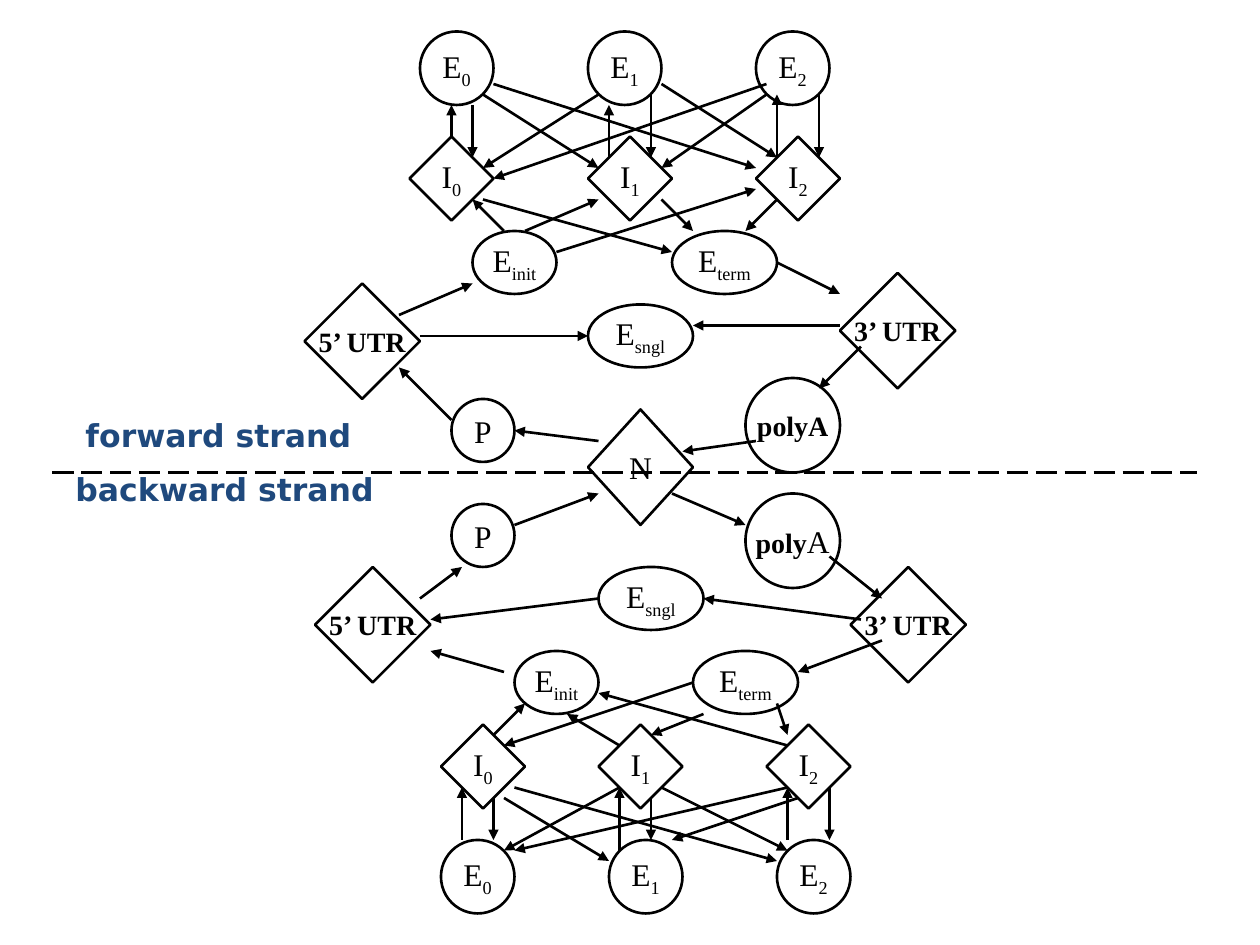
import pptx
import pptx.dml.color
import pptx.enum.dml
import pptx.enum.shapes
import pptx.enum.text
import pptx.oxml
import pptx.oxml.ns
import pptx.util

BLACK = pptx.dml.color.RGBColor(0x00, 0x00, 0x00)
NAVY = pptx.dml.color.RGBColor(0x1F, 0x49, 0x7D)
SERIF = "Times New Roman"
SANS = "DejaVu Sans"
ROUND = pptx.enum.shapes.MSO_SHAPE.OVAL
DIAMOND = pptx.enum.shapes.MSO_SHAPE.DIAMOND
GRID = 12

FORMS = {
    "E": (ROUND, 7, 7),
    "I": (DIAMOND, 8, 8),
    "init": (ROUND, 8, 6),
    "term": (ROUND, 10, 6),
    "sngl": (ROUND, 10, 6),
    "P": (ROUND, 6, 6),
    "poly": (ROUND, 9, 9),
    "UTR": (DIAMOND, 11, 11),
    "N": (DIAMOND, 10, 11),
}


def plain(text):
    return (text, 18, False, False)


def bold(text):
    return (text, 16, True, False)


def sub(text):
    return (text, 18, False, True)


FORE_NODES = [
    *[("E", x, 3, [plain("E"), sub(str(i))]) for i, x in enumerate((40, 56, 72))],
    *[("I", x, 13, [plain("I"), sub(str(i))]) for i, x in enumerate((39, 56, 72))],
    ("init", 45, 22, [plain("E"), sub("init")]),
    ("term", 64, 22, [plain("E"), sub("term")]),
    ("sngl", 56, 29, [plain("E"), sub("sngl")]),
    ("P", 43, 38, [plain("P")]),
    ("poly", 71, 36, [bold("polyA")]),
    ("UTR", 29, 27, [bold("5’ UTR")]),
    ("UTR", 80, 26, [bold("3’ UTR")]),
]
FORE_LINKS = [
    (43, 13, 43, 10), (45, 10, 45, 15), (46, 9, 57, 16), (47, 8, 72, 16),
    (58, 15, 58, 10), (62, 9, 62, 15), (74, 15, 74, 9), (57, 9, 46, 16),
    (63, 8, 74, 15), (73, 8, 47, 17), (73, 9, 63, 16), (78, 9, 78, 15),
    (48, 22, 45, 19), (50, 22, 57, 19), (53, 24, 72, 18), (46, 19, 64, 24),
    (63, 19, 66, 22), (74, 19, 71, 22), (74, 25, 80, 28), (80, 31, 66, 31),
    (82, 33, 78, 37), (72, 42, 65, 43), (57, 42, 49, 41), (43, 40, 38, 35),
    (38, 30, 45, 27), (40, 32, 56, 32),
]
BACK_NODES = [
    *[("E", x, 35, [plain("E"), sub(str(i))]) for i, x in enumerate((42, 58, 74))],
    *[("I", x, 24, [plain("I"), sub(str(i))]) for i, x in enumerate((42, 57, 73))],
    ("init", 49, 17, [plain("E"), sub("init")]),
    ("term", 66, 17, [plain("E"), sub("term")]),
    ("sngl", 57, 9, [plain("E"), sub("sngl")]),
    ("P", 43, 3, [plain("P")]),
    ("poly", 71, 2, [bold("poly"), plain("A")]),
    ("UTR", 30, 9, [bold("5’ UTR")]),
    ("UTR", 81, 9, [bold("3’ UTR")]),
]
BACK_LINKS = [
    (44, 35, 44, 30), (47, 31, 47, 35), (48, 31, 58, 37), (49, 30, 74, 37),
    (59, 36, 59, 30), (59, 30, 48, 36), (62, 31, 62, 35), (63, 30, 75, 36),
    (75, 35, 75, 30), (75, 30, 49, 36), (76, 31, 64, 35), (79, 30, 79, 35),
    (74, 22, 75, 25), (67, 23, 62, 25), (66, 20, 48, 26), (75, 26, 57, 21),
    (59, 26, 54, 23), (47, 25, 50, 22), (40, 12, 44, 9), (48, 19, 41, 17),
    (57, 12, 41, 14), (82, 14, 67, 12), (84, 16, 76, 19), (49, 5, 57, 2),
    (64, 2, 71, 5), (79, 8, 84, 12),
]


def cells(count):
    return pptx.util.Inches(count / GRID)


def add_run(para, text, size, heavy, font, color):
    run = para.add_run()
    run.text = text
    run.font.size = pptx.util.Pt(size)
    run.font.bold = heavy
    run.font.name = font
    run.font.color.rgb = color
    return run


def add_node(group, box, kind, x, y, runs):
    form, width, height = FORMS[kind]
    node = group.shapes.add_shape(
        form, box[0] + cells(x), box[1] + cells(y), cells(width), cells(height))
    node.shadow.inherit = False
    node.fill.background()
    node.line.color.rgb = BLACK
    node.line.width = pptx.util.Pt(1.5)
    frame = node.text_frame
    frame.word_wrap = False
    frame.vertical_anchor = pptx.enum.text.MSO_ANCHOR.MIDDLE
    para = frame.paragraphs[0]
    para.alignment = pptx.enum.text.PP_ALIGN.CENTER
    for text, size, heavy, low in runs:
        run = add_run(para, text, size, heavy, SERIF, BLACK)
        if low:
            run.font._element.set("baseline", "-25000")


def add_line(group, box, ends):
    x1, y1, x2, y2 = map(cells, ends)
    link = group.shapes.add_connector(
        pptx.enum.shapes.MSO_CONNECTOR.STRAIGHT,
        box[0] + x1, box[1] + y1, box[0] + x2, box[1] + y2)
    link.line.color.rgb = BLACK
    link.line.width = pptx.util.Pt(1.5)
    props = link._element.spPr
    props.append(pptx.oxml.parse_xml(
        f'<a:effectLst {pptx.oxml.ns.nsdecls("a")}/>'))
    return link


def add_strand(group, box, nodes, links):
    for node in nodes:
        add_node(group, box, *node)
    for ends in links:
        link = add_line(group, box, ends)
        link.line._get_or_add_ln().append(pptx.oxml.parse_xml(
            f'<a:tailEnd {pptx.oxml.ns.nsdecls("a")} type="triangle"/>'))


def add_border(group, box):
    add_node(group, box, "N", 56, 0, [plain("N")])
    rule = add_line(group, box, (5, 6, 114, 6))
    rule.line.dash_style = pptx.enum.dml.MSO_LINE.LONG_DASH
    labels = [("forward strand", 0.58, 0, 2.33),
              ("backward strand", 0.5, 0.43, 2.58)]
    for text, x, y, width in labels:
        label = group.shapes.add_textbox(
            box[0] + pptx.util.Inches(x), box[1] + pptx.util.Inches(y),
            pptx.util.Inches(width), pptx.util.Inches(0.4))
        label.text_frame.word_wrap = True
        add_run(label.text_frame.paragraphs[0], text, 18, True, SANS, NAVY)


def main():
    deck = pptx.Presentation()
    deck.slide_width = pptx.util.Inches(10)
    deck.slide_height = pptx.util.Inches(7.5)
    slide = deck.slides.add_slide(deck.slide_layouts[6])
    group = slide.shapes.add_group_shape()
    half = deck.slide_height // 2
    add_strand(group, (0, 0), FORE_NODES, FORE_LINKS)
    add_strand(group, (0, half), BACK_NODES, BACK_LINKS)
    add_border(group, (0, half - pptx.util.Inches(0.5)))
    deck.save("out.pptx")


if __name__ == "__main__":
    main()
